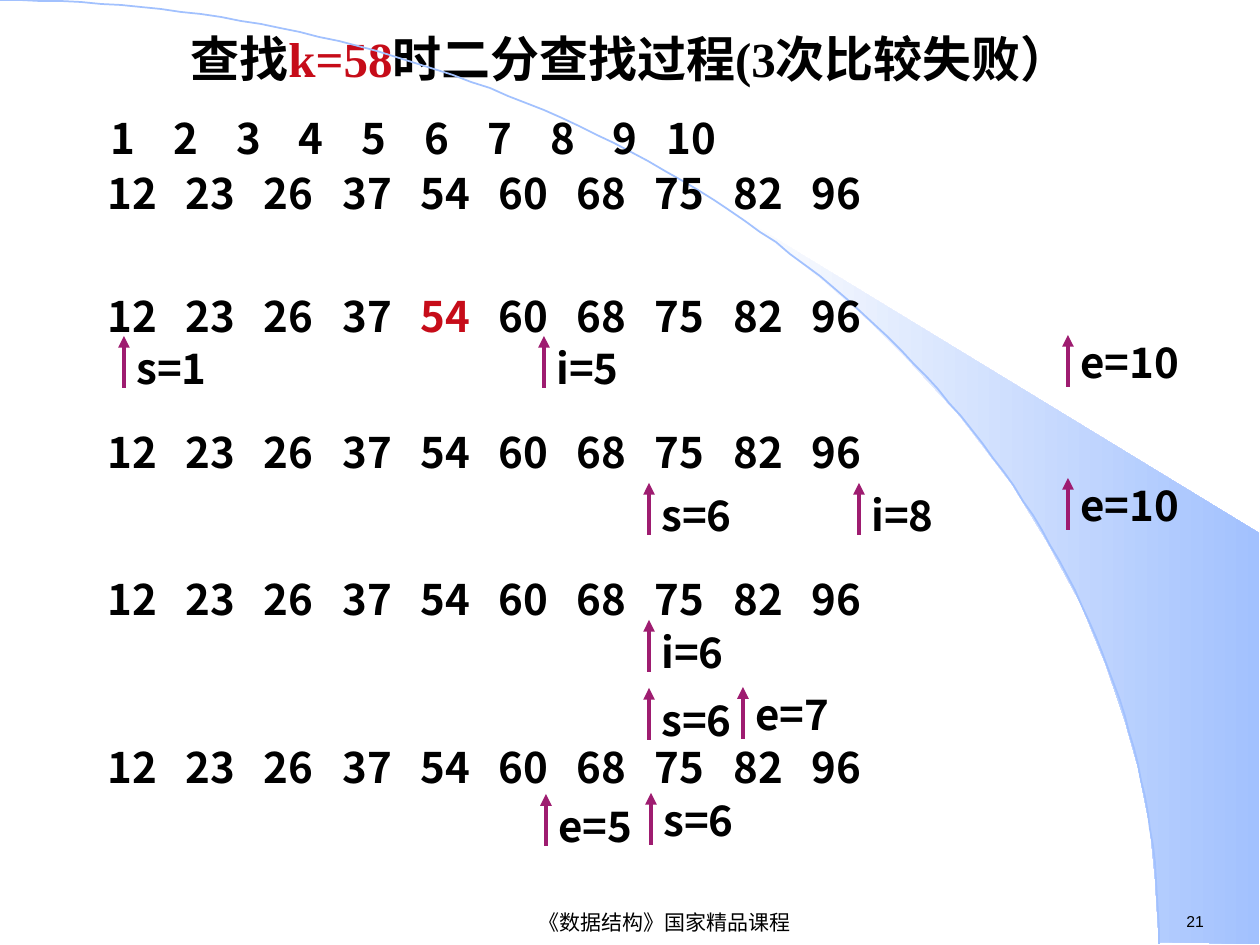
import math
from dataclasses import dataclass

import pptx
import pptx.dml.color
import pptx.enum.text
import pptx.oxml
import pptx.oxml.ns
import pptx.util

PX_PER_INCH = 126
WIDTH, HEIGHT = 1260, 945


@dataclass(frozen=True)
class Theme:
    ink: str = "000000"
    accent: str = "C60C19"
    arrow: str = "9E1C70"
    sky: str = "A2C1FE"
    pale: str = "FEFEFE"
    title_font: str = "Times New Roman"
    body_font: str = "Noto Sans CJK SC"
    footer_font: str = "Arial"
    title_size: int = 28
    body_size: int = 24
    footer_size: int = 12
    number_size: int = 9
    arrow_width: float = 2.25


THEME = Theme()

TITLE = [("查找", THEME.ink), ("k=58", THEME.accent),
         ("时二分查找过程(3次比较失败）", THEME.ink)]
FOOTER = "《数据结构》国家精品课程"
PAGE_NUMBER = "21"

INDEXES = [str(number) for number in range(1, 11)]
INDEX_STOPS = [63, 126, 188, 251, 314, 377, 440, 502, 556]
VALUES = ["12", "23", "26", "37", "54", "60", "68", "75", "82", "96"]
VALUE_STOPS = [round(78.2 * column) for column in range(1, len(VALUES))]

# top of each row of values, the value compared, and its pointers:
# (label, x, tip of the arrow, top of the label)
STEPS = [
    (161, None, []),
    (284, "54", [("s=1", 124, 336, 336), ("i=5", 544, 336, 336),
                 ("e=10", 1068, 335, 330)]),
    (420, None, [("s=6", 649, 483, 483), ("i=8", 859, 483, 483),
                 ("e=10", 1068, 478, 473)]),
    (567, None, [("i=6", 649, 620, 620), ("s=6", 649, 688, 688),
                 ("e=7", 743, 687, 682)]),
    (735, None, [("e=5", 546, 794, 794), ("s=6", 651, 793, 788)]),
]
ROW_LEFT, ROW_WIDTH, ROW_HEIGHT = 95, 1080, 113
ARROW_LENGTH = 52
LABEL_WIDTH, LABEL_HEIGHT = 146, 63

WEDGE = [(1159, 942), (1259, 944), (1259, 533), (742, 218), (786, 251),
         (823, 280), (863, 315), (902, 353), (960, 416), (1012, 484),
         (1048, 543), (1081, 604), (1106, 665), (1125, 721), (1138, 767),
         (1150, 827), (1155, 877)]
ARC_WIDTH, ARC_HEIGHT, ARC_SEGMENTS = 1159, 944, 90


def px(length):
    return pptx.util.Emu(round(length * pptx.util.Inches(1) / PX_PER_INCH))


def rgb(value):
    return pptx.dml.color.RGBColor.from_string(value)


def write(paragraph, spans, font, size, bold=True):
    """Fill a paragraph with (text, colour) spans in one font."""
    for text, color in spans:
        span = paragraph.add_run()
        span.text = text
        span.font.name = font
        span.font.size = pptx.util.Pt(size)
        span.font.bold = bold
        span.font.color.rgb = rgb(color)
        east_asian = pptx.oxml.ns.qn("a:ea")
        span.font._element.makeelement(east_asian)
        span.font._element.append(
            span.font._element.makeelement(east_asian, {"typeface": THEME.body_font}))


def add_text(page, frame, spans, font=THEME.body_font, size=THEME.body_size, bold=True):
    box = page.shapes.add_textbox(*map(px, frame))
    box.text_frame.word_wrap = True
    paragraph = box.text_frame.paragraphs[0]
    write(paragraph, spans, font, size, bold)
    return paragraph


def set_tab_stops(paragraph, stops):
    properties = paragraph._p.get_or_add_pPr()
    tab_list = properties.makeelement(pptx.oxml.ns.qn("a:tabLst"))
    for stop in stops:
        tab = properties.makeelement(
            pptx.oxml.ns.qn("a:tab"), {"pos": str(px(stop)), "algn": "l"})
        tab_list.append(tab)
    properties.append(tab_list)


def add_row(page, left, top, height, items, stops, marked=None):
    """One line of numbers on tab stops, the marked one in the accent colour."""
    line = "\t".join(items)
    spans = [(line, THEME.ink)]
    if marked:
        before, found, after = line.partition(marked)
        spans = [(before, THEME.ink), (found, THEME.accent), (after, THEME.ink)]
    set_tab_stops(add_text(page, (left, top, ROW_WIDTH, height), spans), stops)


def add_pointer(page, label, x, tip, label_top):
    arrow = page.shapes.add_connector(
        pptx.enum.shapes.MSO_CONNECTOR.STRAIGHT, px(x), px(tip + ARROW_LENGTH), px(x), px(tip))
    arrow.line.color.rgb = rgb(THEME.arrow)
    arrow.line.width = pptx.util.Pt(THEME.arrow_width)
    line = arrow.line._get_or_add_ln()
    line.append(line.makeelement(pptx.oxml.ns.qn("a:tailEnd"), {"type": "triangle"}))
    properties = arrow._element.spPr
    properties.append(properties.makeelement(pptx.oxml.ns.qn("a:effectLst")))
    add_text(page, (x, label_top, LABEL_WIDTH, LABEL_HEIGHT), [(label, THEME.ink)])


def add_outline(page, points, close):
    builder = page.shapes.build_freeform(*points[0], scale=px(1))
    builder.add_line_segments(points[1:], close=close)
    outline = builder.convert_to_shape()
    outline.shadow.inherit = False
    return outline


def add_backdrop(page):
    wedge = add_outline(page, WEDGE, close=True)
    wedge.line.fill.background()
    wedge.fill.gradient()
    wedge.fill.gradient_angle = 0
    for stop, color in zip(wedge.fill.gradient_stops, (THEME.pale, THEME.sky)):
        stop.color.rgb = rgb(color)

    angles = [math.pi / 2 * step / ARC_SEGMENTS for step in range(ARC_SEGMENTS + 1)]
    arc = add_outline(page, [(ARC_WIDTH * math.sin(angle), ARC_HEIGHT * (1 - math.cos(angle)))
                             for angle in angles], close=False)
    arc.fill.background()
    arc.line.color.rgb = rgb(THEME.sky)
    arc.line.width = pptx.util.Pt(1)


def add_title(page):
    title = page.shapes.title
    title.left, title.top, title.width, title.height = map(px, (0, 29, WIDTH, 66))
    title.text_frame.auto_size = pptx.enum.text.MSO_AUTO_SIZE.NONE
    title.text_frame.vertical_anchor = pptx.enum.text.MSO_ANCHOR.TOP
    paragraph = title.text_frame.paragraphs[0]
    paragraph.alignment = pptx.enum.text.PP_ALIGN.CENTER
    paragraph.line_spacing = 0.9
    write(paragraph, TITLE, THEME.title_font, THEME.title_size)


def main():
    deck = pptx.Presentation()
    deck.slide_width, deck.slide_height = px(WIDTH), px(HEIGHT)
    page = deck.slides.add_slide(deck.slide_layouts.get_by_name("Title Only"))

    add_backdrop(page)
    add_title(page)
    add_row(page, 98, 106, LABEL_HEIGHT, INDEXES, INDEX_STOPS)
    for top, marked, pointers in STEPS:
        add_row(page, ROW_LEFT, top, ROW_HEIGHT, VALUES, VALUE_STOPS, marked)
        for pointer in pointers:
            add_pointer(page, *pointer)

    footer = add_text(page, (302, 903, 725, 40), [(FOOTER, THEME.ink)],
                      THEME.footer_font, THEME.footer_size, bold=False)
    footer.alignment = pptx.enum.text.PP_ALIGN.CENTER
    add_text(page, (1174, 906, 84, 32), [(PAGE_NUMBER, THEME.ink)],
             THEME.footer_font, THEME.number_size, bold=False)
    deck.save("out.pptx")


if __name__ == "__main__":
    main()
